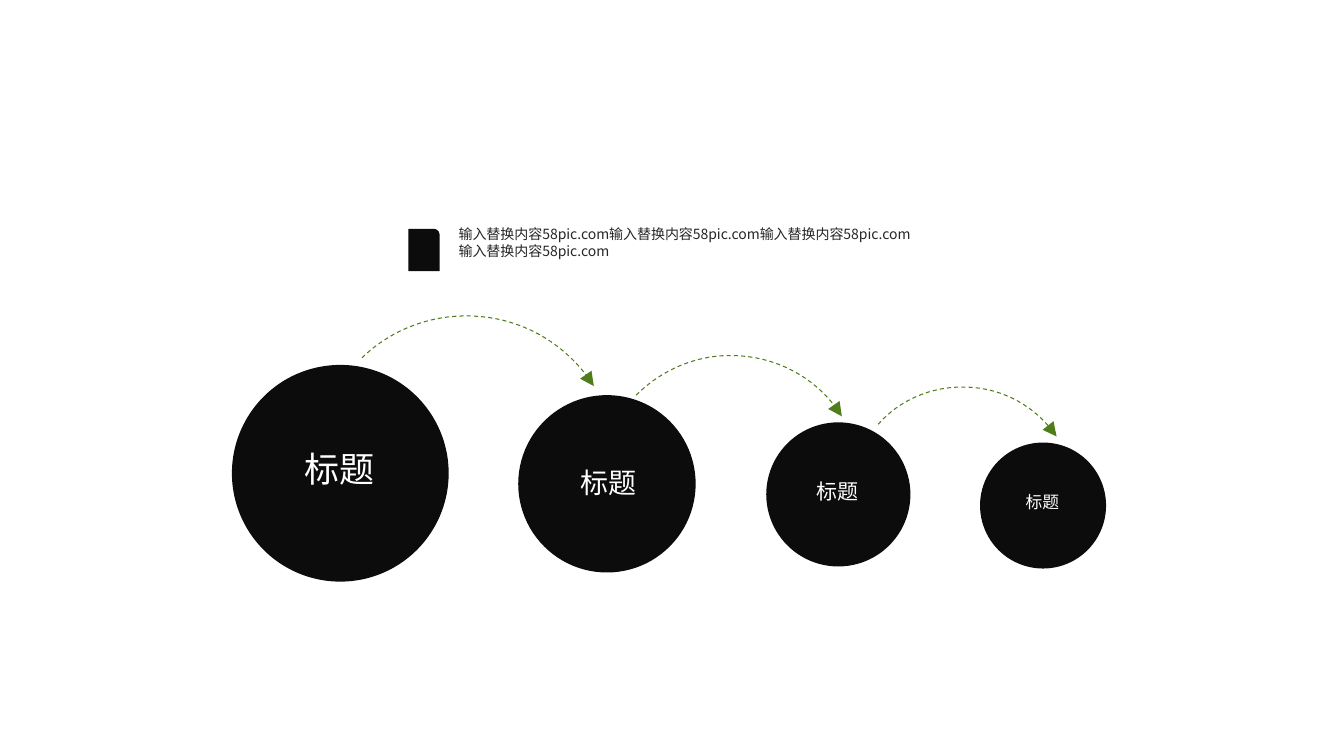
from pptx import Presentation
from pptx.dml.color import RGBColor
from pptx.enum.dml import MSO_LINE
from pptx.enum.shapes import MSO_SHAPE
from pptx.enum.text import MSO_ANCHOR, PP_ALIGN
from pptx.oxml.ns import qn
from pptx.util import Inches, Pt
from lxml import etree

THEME = {
    "font": "Noto Sans CJK SC",
    "black": RGBColor.from_string("0C0C0C"),
    "white": RGBColor.from_string("FFFFFF"),
    "body": RGBColor.from_string("262626"),
    "green": RGBColor.from_string("4F7D19"),
    "body_size": 10,
    "title_sizes": [25, 20, 15, 12],
}

TITLE = "标题"
BODY = "输入替换内容58pic.com" * 4
BODY_BOX = (4.45, 2.19, 4.75, 0.68)
MARKER_BOX = (4.05, 2.27, 0.31, 0.42)

# left, top, diameter
CIRCLES = [(2.3, 3.62, 2.15), (5.14, 3.92, 1.76), (7.6, 4.19, 1.43), (9.72, 4.39, 1.25)]
TITLE_BOXES = [
    (2.65, 4.39, 1.44, 0.52),
    (5.37, 4.56, 1.34, 0.44),
    (7.64, 4.7, 1.34, 0.35),
    (9.67, 4.83, 1.34, 0.3),
]
# two cubic curves each: start, control, control, middle, control, control, end
ARCS = [
    [(3.59, 3.55), (3.89, 3.26), (4.31, 3.1), (4.76, 3.14), (5.24, 3.18), (5.65, 3.45), (5.89, 3.83)],
    [(6.31, 3.92), (6.57, 3.66), (6.94, 3.5), (7.34, 3.53), (7.77, 3.56), (8.14, 3.79), (8.35, 4.13)],
    [(8.71, 4.21), (8.92, 3.97), (9.24, 3.83), (9.58, 3.84), (9.96, 3.85), (10.28, 4.04), (10.48, 4.33)],
]
ARC_STEPS = 16


def add_solid(s, kind, box):
    sp = s.shapes.add_shape(kind, *map(Inches, box))
    sp.shadow.inherit = False
    sp.fill.solid()
    sp.fill.fore_color.rgb = THEME["black"]
    sp.line.fill.background()
    return sp


def add_text(s, box, text, size, color):
    sp = s.shapes.add_textbox(*map(Inches, box))
    tf = sp.text_frame
    tf.word_wrap = True
    tf.text = text
    r = tf.paragraphs[0].runs[0]
    r.font.size = Pt(size)
    r.font.name = THEME["font"]
    r.font.color.rgb = color
    ea = etree.SubElement(r.font._element, qn("a:ea"))
    ea.set("typeface", THEME["font"])
    return tf


def cubic_points(p0, p1, p2, p3):
    """Points along one cubic curve, without its start."""
    for i in range(1, ARC_STEPS + 1):
        t = i / ARC_STEPS
        weights = ((1 - t) ** 3, 3 * t * (1 - t) ** 2, 3 * t * t * (1 - t), t ** 3)
        yield tuple(
            Inches(sum(w * c for w, c in zip(weights, axis)))
            for axis in zip(p0, p1, p2, p3)
        )


def add_arc(s, knots):
    builder = s.shapes.build_freeform(*map(Inches, knots[0]))
    for k in (0, 3):
        builder.add_line_segments(cubic_points(*knots[k:k + 4]), close=False)
    sp = builder.convert_to_shape()
    sp.shadow.inherit = False
    sp.fill.background()
    sp.line.color.rgb = THEME["green"]
    sp.line.width = Pt(0)
    sp.line.dash_style = MSO_LINE.DASH
    tail = etree.SubElement(sp.line._get_or_add_ln(), qn("a:tailEnd"))
    for key, value in (("type", "triangle"), ("w", "lg"), ("len", "lg")):
        tail.set(key, value)


def main():
    prs = Presentation()
    prs.slide_width, prs.slide_height = Inches(13.33), Inches(7.5)
    s = prs.slides.add_slide(prs.slide_layouts[6])

    for left, top, diameter in CIRCLES:
        add_solid(s, MSO_SHAPE.OVAL, (left, top, diameter, diameter))
    for knots in ARCS:
        add_arc(s, knots)

    tf = add_text(s, BODY_BOX, BODY, THEME["body_size"], THEME["body"])
    tf.paragraphs[0].line_spacing = 1.0
    marker = add_solid(s, MSO_SHAPE.ROUND_1_RECTANGLE, MARKER_BOX)
    marker.adjustments[0] = 0.18

    for box, size in zip(TITLE_BOXES, THEME["title_sizes"]):
        tf = add_text(s, box, TITLE, size, THEME["white"])
        tf.margin_top = tf.margin_bottom = 0
        tf.vertical_anchor = MSO_ANCHOR.MIDDLE
        tf.paragraphs[0].alignment = PP_ALIGN.CENTER

    prs.save("out.pptx")


if __name__ == "__main__":
    main()
